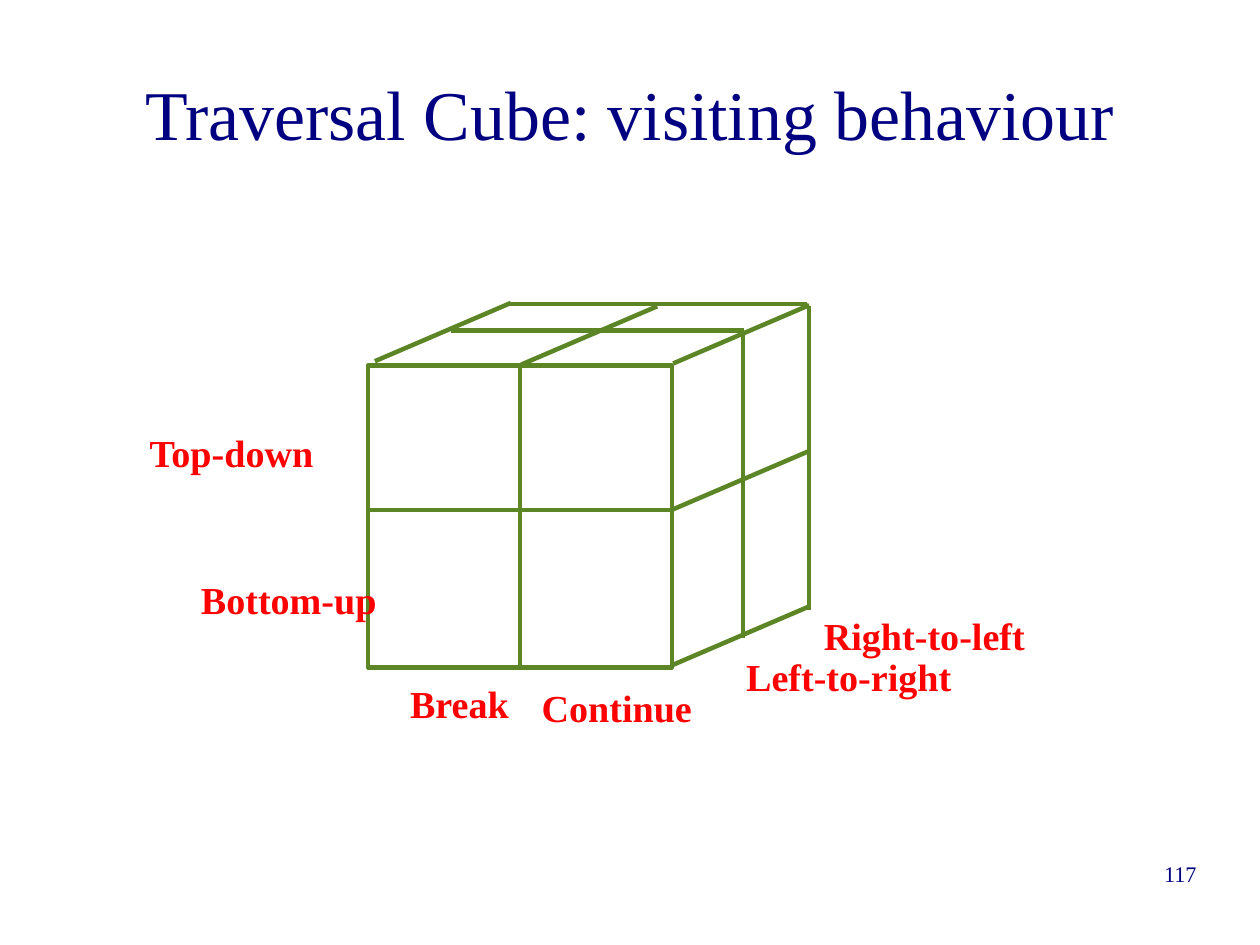
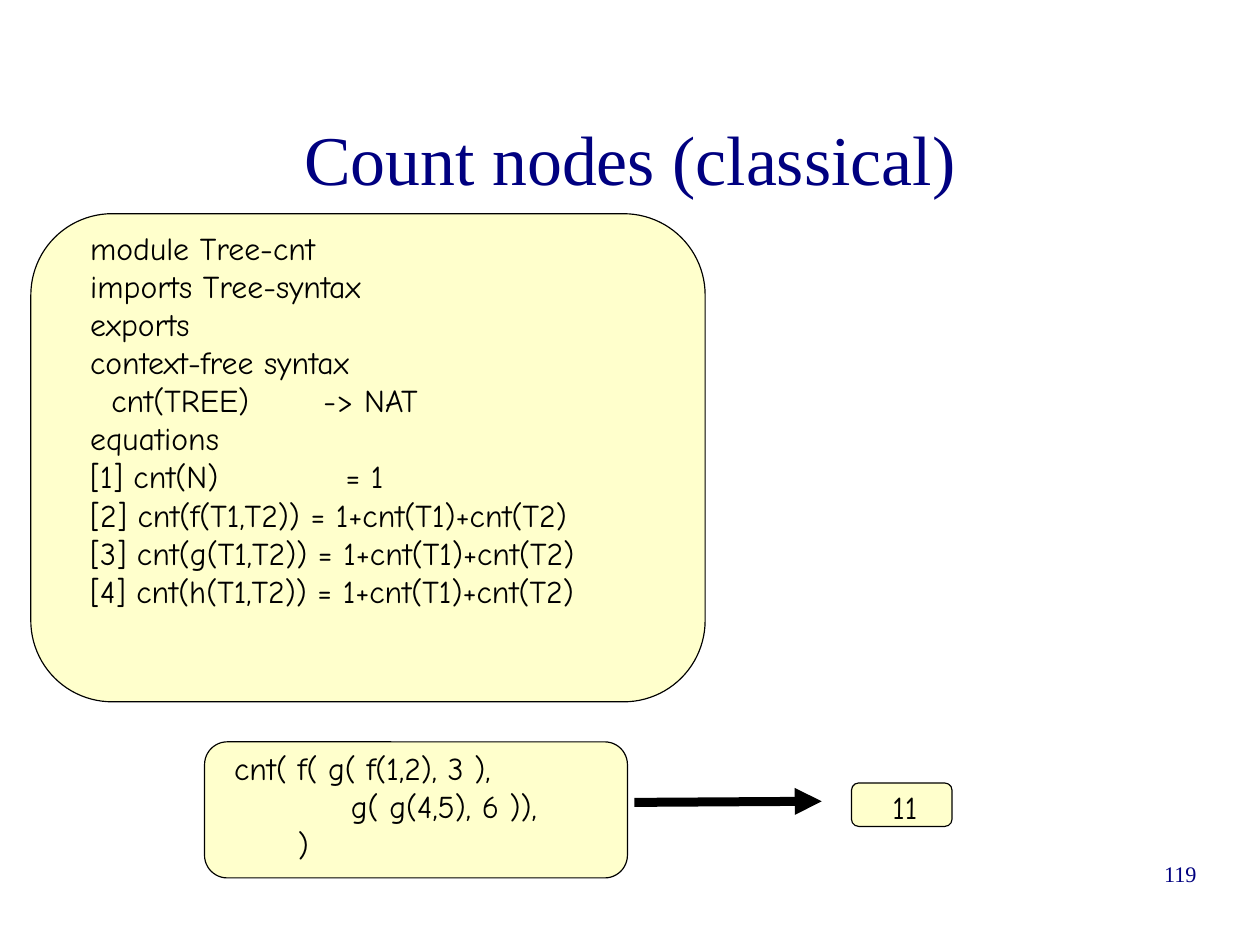
"""Build two slides: the traversal cube and the node counting example."""
from lxml import etree
from pptx import Presentation
from pptx.dml.color import RGBColor
from pptx.enum.shapes import MSO_CONNECTOR, MSO_SHAPE
from pptx.enum.text import MSO_ANCHOR, PP_ALIGN
from pptx.oxml.ns import qn
from pptx.util import Emu, Inches, Pt

STRAIGHT = MSO_CONNECTOR.STRAIGHT
RECTANGLE = MSO_SHAPE.RECTANGLE
ROUNDED = MSO_SHAPE.ROUNDED_RECTANGLE
LEFT, CENTER, RIGHT = PP_ALIGN.LEFT, PP_ALIGN.CENTER, PP_ALIGN.RIGHT
MIDDLE = MSO_ANCHOR.MIDDLE

SLIDE_WIDTH, SLIDE_HEIGHT = Emu(10080625), Emu(7559675)
COLORS = {
    "title": "000080",
    "cube": "5C8526",
    "label": "FF0000",
    "panel": "FFFFCC",
    "ink": "000000",
}
SERIF = "Times New Roman"
CODE = "Comic Neue"
TITLE_ONLY = 5
CUBE_LINE = 2.83

CUBE_DEPTH = (1.19, -0.51)
CUBE_RECEDING_STARTS = [
    (0.06, 0.5), (1.34, 0.53), (2.67, 0.52), (2.66, 1.8), (2.66, 3.16),
]
CUBE_STRAIGHT_EDGES = [
    ((0.02, 1.8), (2.67, 1.8)),
    ((1.23, 0), (3.84, 0)),
    ((3.86, 0.02), (3.86, 2.68)),
    ((0.73, 0.23), (3.29, 0.23)),
    ((3.28, 0.24), (3.28, 2.92)),
]
CUBE_LABELS = [
    ("Top-down", -2.01, 1.05, 1.72),
    ("Bottom-up", -1.56, 2.33, 1.84),
    ("Break", 0.27, 3.24, 1.1),
    ("Continue", 1.42, 3.28, 1.59),
    ("Left-to-right", 3.21, 3.01, 2.12),
    ("Right-to-left", 3.89, 2.65, 2.09),
]

MODULE_CODE = [
    "module Tree-cnt",
    "imports Tree-syntax",
    "exports",
    "context-free syntax",
    "  cnt(TREE)       -> NAT",
    "equations",
    "[1] cnt(N)            = 1",
    "[2] cnt(f(T1,T2)) = 1+cnt(T1)+cnt(T2)",
    "[3] cnt(g(T1,T2)) = 1+cnt(T1)+cnt(T2)",
    "[4] cnt(h(T1,T2)) = 1+cnt(T1)+cnt(T2)",
]
TERM_CODE = [
    "cnt( f( g( f(1,2), 3 ),",
    "           g( g(4,5), 6 )),",
    "      )",
]


def color(name):
    """Return the named palette colour."""
    return RGBColor.from_string(COLORS[name])


def set_margins(frame, horizontal, vertical):
    """Set the inner margins of a text frame."""
    frame.margin_left = frame.margin_right = Inches(horizontal)
    frame.margin_top = frame.margin_bottom = Inches(vertical)


def style_paragraph(para, font, size, color_name, align=LEFT, bold=False):
    """Set the alignment and font of a paragraph."""
    para.alignment = align
    para.font.name = font
    para.font.size = Pt(size)
    para.font.bold = bold
    para.font.color.rgb = color(color_name)


def add_text(page, box, lines, font, size, color_name, align=LEFT,
             bold=False, margins=(0.1, 0.05)):
    """Add a text box with one paragraph for each line."""
    frame = page.shapes.add_textbox(*map(Inches, box)).text_frame
    frame.word_wrap = True
    set_margins(frame, *margins)
    for index, line in enumerate(lines):
        para = frame.add_paragraph() if index else frame.paragraphs[0]
        para.text = line
        style_paragraph(para, font, size, color_name, align, bold)


def add_outline(page, kind, box, line_color, width, fill=None):
    """Add an outlined shape, filled only when a fill is named."""
    shape = page.shapes.add_shape(kind, *map(Inches, box))
    shape.shadow.inherit = False
    if fill:
        shape.fill.solid()
        shape.fill.fore_color.rgb = color(fill)
    else:
        shape.fill.background()
    shape.line.color.rgb = color(line_color)
    shape.line.width = Pt(width)
    return shape


def add_line(page, start, end, line_color, width, arrow=False):
    """Add a straight connector, with an arrowhead at its end on request."""
    line = page.shapes.add_connector(STRAIGHT, *map(Inches, (*start, *end)))
    line.line.color.rgb = color(line_color)
    line.line.width = Pt(width)
    properties = line._element.spPr
    if arrow:
        etree.SubElement(properties.find(qn("a:ln")), qn("a:tailEnd"),
                         type="triangle")
    etree.SubElement(properties, qn("a:effectLst"))
    return line


def add_page(deck, title, title_box, number):
    """Add a slide with its title and page number."""
    page = deck.slides.add_slide(deck.slide_layouts[TITLE_ONLY])
    heading = page.shapes.title
    heading.left, heading.top, heading.width, heading.height = map(
        Inches, title_box)
    frame = heading.text_frame
    frame.text = title
    frame.word_wrap = True
    frame.vertical_anchor = MIDDLE
    set_margins(frame, 0, 0)
    style_paragraph(frame.paragraphs[0], SERIF, 44, "title", CENTER)
    add_text(page, (7.9, 7.53, 2.57, 0.57), [str(number)], SERIF, 14,
             "title", RIGHT, margins=(0, 0))
    return page


def add_cube(page, left, top):
    """Draw the labelled cube from the top left corner of its bounds."""
    def place(point):
        """Move a point of the cube onto the slide."""
        return left + point[0], top + point[1]

    front = add_outline(page, RECTANGLE, (*place((0, 0.54)), 2.66, 2.64),
                        "cube", CUBE_LINE)
    divider = add_line(page, place((1.33, 0.54)), place((1.33, 3.18)),
                       "cube", CUBE_LINE)
    divider.begin_connect(front, 0)
    divider.end_connect(front, 2)
    receding = [((x, y), (x + CUBE_DEPTH[0], y + CUBE_DEPTH[1]))
                for x, y in CUBE_RECEDING_STARTS]
    for start, end in CUBE_STRAIGHT_EDGES + receding:
        add_line(page, place(start), place(end), "cube", CUBE_LINE)
    for label, x, y, width in CUBE_LABELS:
        add_text(page, (*place((x, y)), width, 0.53), [label], SERIF, 24,
                 "label", bold=True)


def add_code_panel(page, box, lines, text_offset, text_size):
    """Add a rounded panel with code set at an offset from its corner."""
    add_outline(page, ROUNDED, box, "ink", 0, "panel")
    text_box = (box[0] + text_offset[0], box[1] + text_offset[1], *text_size)
    add_text(page, text_box, lines, CODE, 20, "ink")


def build_cube_page(deck):
    """Build the slide with the traversal cube."""
    page = add_page(deck, "Traversal Cube: visiting behaviour",
                    (0.81, 0.16, 9.41, 1.65), 117)
    add_cube(page, 3.22, 2.66)


def build_count_page(deck):
    """Build the slide with the module, the term and its result."""
    page = add_page(deck, "Count nodes (classical)",
                    (0.81, 0.69, 9.41, 1.38), 119)
    add_code_panel(page, (0.27, 1.87, 5.9, 4.27), MODULE_CODE,
                   (0.42, 0.08), (5.32, 4.5))
    add_code_panel(page, (1.79, 6.49, 3.7, 1.19), TERM_CODE,
                   (0.16, 0.01), (2.99, 1.29))
    add_line(page, (5.55, 7.02), (7.19, 7.01), "ink", 5.67, arrow=True)
    add_code_panel(page, (7.45, 6.85, 0.88, 0.38), ["11"],
                   (0.26, -0.01), (0.59, 0.5))


def main():
    """Build and save the deck."""
    deck = Presentation()
    deck.slide_width, deck.slide_height = SLIDE_WIDTH, SLIDE_HEIGHT
    build_cube_page(deck)
    build_count_page(deck)
    deck.save("out.pptx")


if __name__ == "__main__":
    main()
